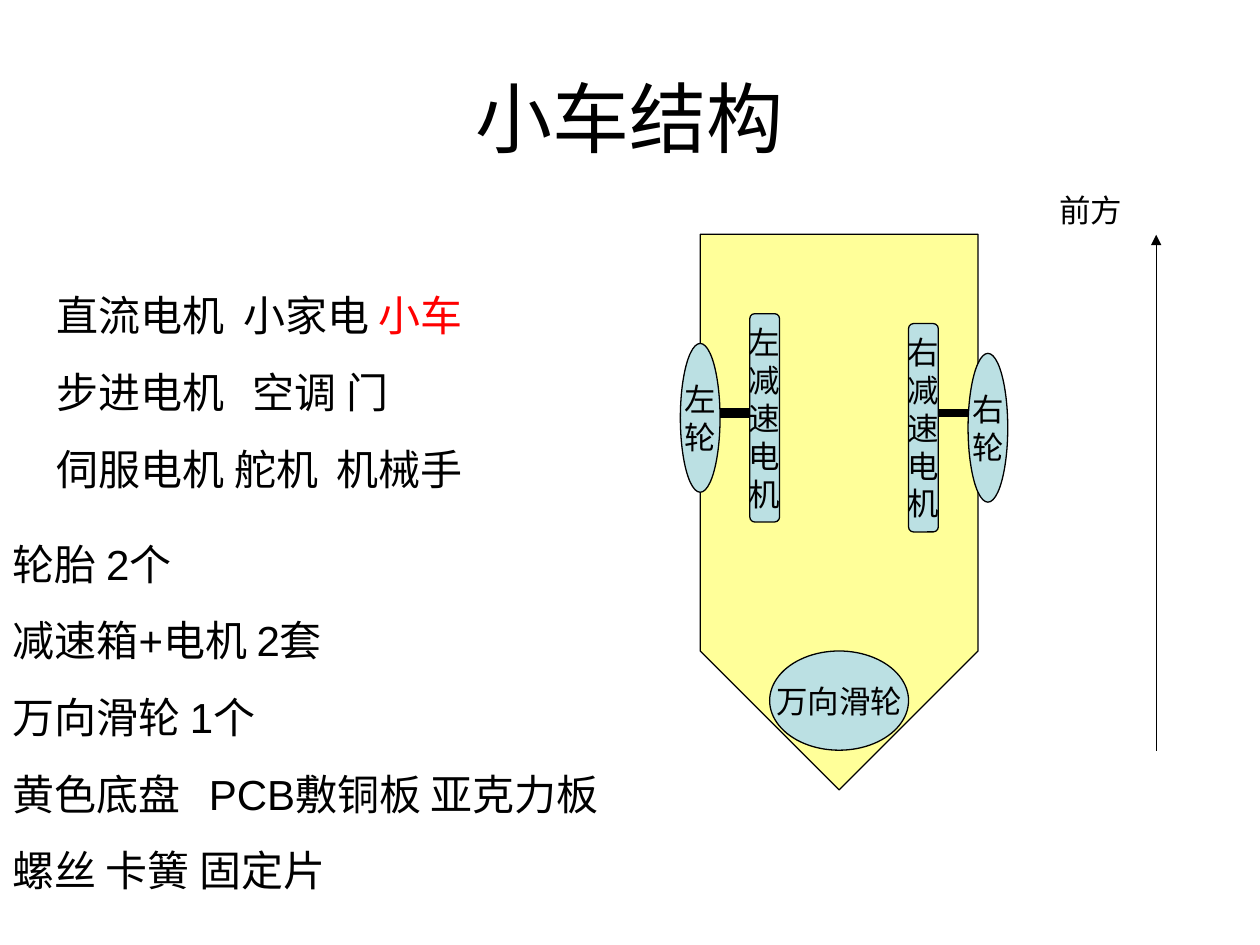
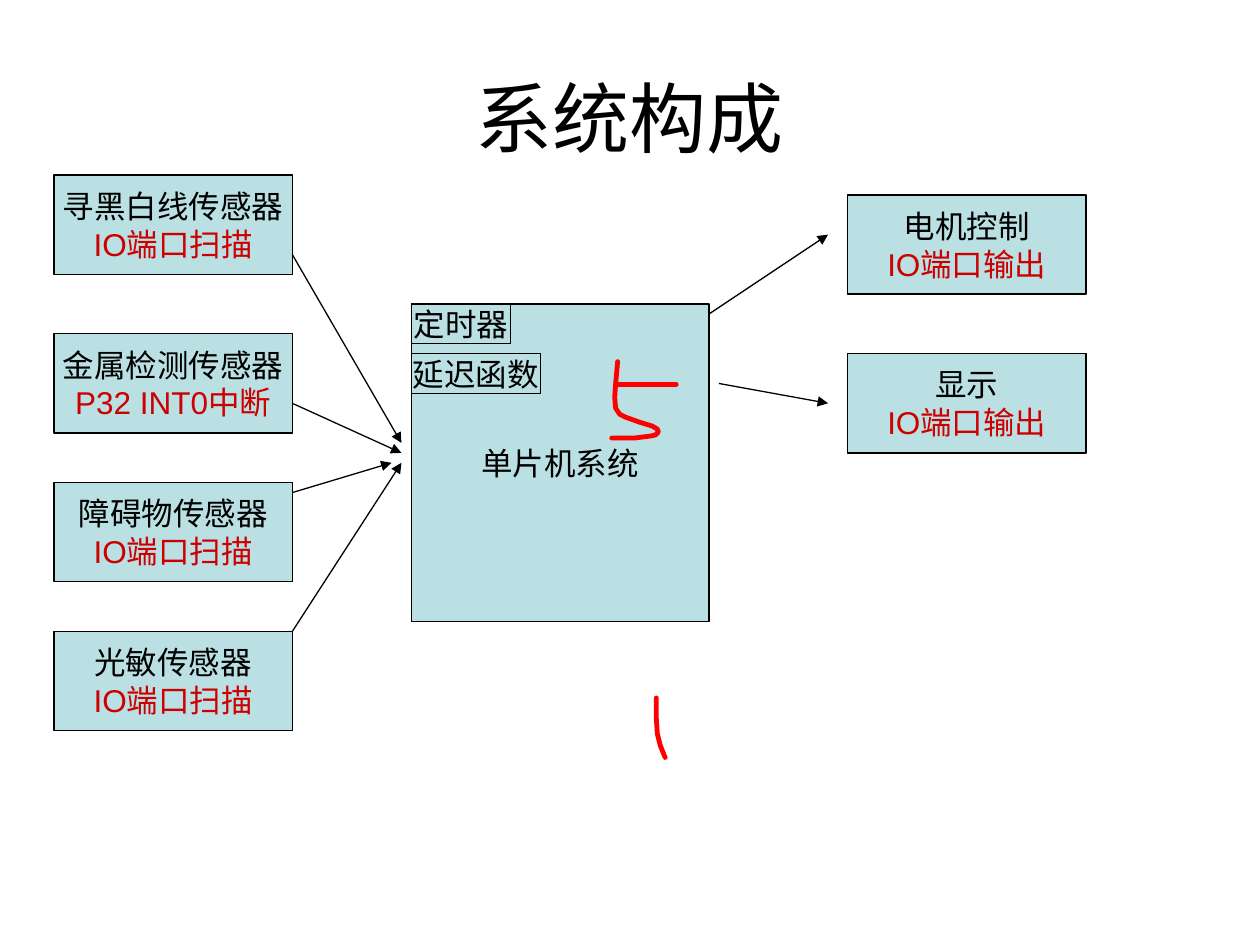
from dataclasses import dataclass

from lxml.etree import SubElement
from pptx import Presentation
from pptx.dml.color import RGBColor
from pptx.enum.shapes import MSO_CONNECTOR, MSO_SHAPE as Shape
from pptx.enum.text import MSO_ANCHOR as Anchor, MSO_AUTO_SIZE as AutoSize, PP_ALIGN as Align
from pptx.oxml.ns import qn
from pptx.util import Cm, Inches, Pt


@dataclass(frozen=True)
class Theme:
    font: str = "Arial"
    ink: str = "000000"
    device: str = "BBE0E3"
    chassis: str = "FFFF99"
    port: str = "CC0000"
    mark: str = "FF0000"
    title_size: float = 44
    list_size: float = 24
    label_size: float = 18
    outline: float = 0.75
    pen: float = 2.75


@dataclass(frozen=True)
class Grid:
    """Square cells counted from the top left corner of a region."""
    left: int
    top: int
    cell: int = Cm(0.2)

    def point(self, col, row):
        return round(self.left + col * self.cell), round(self.top + row * self.cell)

    def box(self, col, row, cols, rows):
        return *self.point(col, row), cols * self.cell, rows * self.cell


THEME = Theme()
WIDTH, HEIGHT = Inches(10), Inches(7.5)
TITLE_ONLY, TWO_LISTS = 5, 3


def rgb(code):
    return RGBColor.from_string(code)


def set_font(font, size, color=THEME.ink):
    font.name, font.size = THEME.font, Pt(size)
    font.color.rgb = rgb(color)


def place(item, left, top, width, height):
    """Positions an item by shares of the slide's size."""
    item.left, item.top = round(left * WIDTH), round(top * HEIGHT)
    item.width, item.height = round(width * WIDTH), round(height * HEIGHT)


def paragraphs(frame, count):
    return [frame.paragraphs[0]] + [frame.add_paragraph() for _ in range(count - 1)]


def titled_page(deck, layout, title):
    page = deck.slides.add_slide(deck.slide_layouts[layout])
    place(page.shapes.title, 0.05, 0.04, 0.9, 1 / 6)
    frame = page.shapes.title.text_frame
    frame.text, frame.vertical_anchor = title, Anchor.MIDDLE
    para = frame.paragraphs[0]
    para.alignment = Align.CENTER
    set_font(para.font, THEME.title_size)
    return page


def fill_list(holder, box, lines):
    """Each line is a list of (text, colour) spans."""
    place(holder, *box)
    frame = holder.text_frame
    frame.auto_size, frame.vertical_anchor = AutoSize.NONE, Anchor.TOP
    for para, spans in zip(paragraphs(frame, len(lines)), lines):
        para.space_before = Pt(15)
        props = para._p.get_or_add_pPr()
        props.set("marL", "0")
        props.set("indent", "0")
        SubElement(props, qn("a:buNone"))
        set_font(para.font, THEME.list_size)
        for text, color in spans:
            span = para.add_run()
            span.text = text
            set_font(span.font, THEME.list_size, color)


def plain(*texts):
    return [[(text, THEME.ink)] for text in texts]


def paint(shape, fill):
    shape.shadow.inherit = False
    shape.fill.solid()
    shape.fill.fore_color.rgb = rgb(fill)
    shape.line.color.rgb = rgb(THEME.ink)
    shape.line.width = Pt(THEME.outline)


def add_device(page, kind, box, lines, colors=(THEME.ink, THEME.ink)):
    """A pale blue shape with centred lines; the last colour serves all further lines."""
    device = page.shapes.add_shape(kind, *box)
    paint(device, THEME.device)
    frame = device.text_frame
    frame.word_wrap, frame.vertical_anchor = False, Anchor.MIDDLE
    for index, para in enumerate(paragraphs(frame, len(lines))):
        para.text, para.alignment = lines[index], Align.CENTER
        set_font(para.font, THEME.label_size, colors[min(index, len(colors) - 1)])


def add_line(page, start, end, width=THEME.outline, arrow=False):
    line = page.shapes.add_connector(MSO_CONNECTOR.STRAIGHT, *start, *end)
    line.line.color.rgb, line.line.width = rgb(THEME.ink), Pt(width)
    props = line._element.spPr
    if arrow:
        SubElement(props.find(qn("a:ln")), qn("a:tailEnd"), type="triangle")
    SubElement(props, qn("a:effectLst"))


def add_outline(page, grid, strokes, close):
    """One freeform from one or more strokes of grid points."""
    outlines = [[grid.point(*point) for point in stroke] for stroke in strokes]
    builder = page.shapes.build_freeform(*outlines[0][0])
    builder.add_line_segments(outlines[0][1:], close=close)
    for outline in outlines[1:]:
        builder.move_to(*outline[0])
        builder.add_line_segments(outline[1:], close=close)
    return builder.convert_to_shape()


def add_pen_mark(page, grid, strokes):
    mark = add_outline(page, grid, strokes, close=False)
    mark.shadow.inherit = False
    mark.fill.background()
    mark.line.color.rgb, mark.line.width = rgb(THEME.mark), Pt(THEME.pen)
    stroke = mark._element.spPr.find(qn("a:ln"))
    stroke.set("cap", "rnd")
    SubElement(stroke, qn("a:round"))


def draw_car(page, grid):
    chassis = [(2, 0), (30, 0), (30, 42), (16, 56), (2, 42)]
    paint(add_outline(page, grid, [chassis], close=True), THEME.chassis)
    add_device(page, Shape.OVAL, grid.box(9, 42, 14, 10), ["万向滑轮"])
    sides = (("左", 0, 11, 7, 8, 4, 6), ("右", 29, 12, 23, 9, 26, 4.5))
    for side, wheel_col, wheel_row, motor_col, motor_row, axle_col, axle_width in sides:
        add_device(page, Shape.OVAL, grid.box(wheel_col, wheel_row, 4, 15), [side, "轮"])
        add_device(page, Shape.ROUNDED_RECTANGLE, grid.box(motor_col, motor_row, 3, 21),
                   list(side + "减速电机"))
        add_line(page, grid.point(axle_col, 18), grid.point(axle_col + 3, 18), axle_width)


def draw_heading(page, grid):
    """The arrow and label that show which way is forward."""
    add_line(page, grid.point(11, 57), grid.point(11, 5), arrow=True)
    label = page.shapes.add_textbox(*grid.box(0, 0, 9, 5))
    label.text_frame.word_wrap = True
    para = label.text_frame.paragraphs[0]
    para.text = "前方"
    set_font(para.font, THEME.label_size)


def draw_ports(page, grid, ports):
    """Boxes that pair a device with the way it is connected."""
    for row, device, access in ports:
        add_device(page, Shape.RECTANGLE, grid.box(0, row, 24, 10), [device, access],
                   (THEME.ink, THEME.port))


def draw_controller(page, grid):
    add_device(page, Shape.RECTANGLE, grid.box(0, 0, 30, 32), ["单片机系统"])
    for row, cols, name in ((0, 10, "定时器"), (5, 13, "延迟函数")):
        add_device(page, Shape.RECTANGLE, grid.box(0, row, cols, 4), [name])


def draw_pen_marks(page, grid):
    hook = [(0.6, 0), (0.4, 2.2), (0.3, 3.6), (0.4, 4.7), (0.8, 5.3), (1.4, 5.6),
            (2.8, 6.1), (4.1, 6.5), (4.6, 6.8), (4.7, 7.1), (4.4, 7.4), (3.9, 7.5),
            (2.3, 7.7), (0, 7.7)]
    bar = [(0.4, 2.3), (6.5, 2.3)]
    tail = [(4.5, 33.9), (4.5, 36), (4.6, 37.5), (4.9, 38.7), (5.3, 39.7), (5.4, 39.9)]
    add_pen_mark(page, grid, [hook, bar])
    add_pen_mark(page, grid, [tail])


def structure_page(deck):
    page = titled_page(deck, TWO_LISTS, "小车结构")
    motors, materials = list(page.placeholders)[1:]
    fill_list(motors, (0.035, 0.3, 0.354, 0.23),
              [[("直流电机  小家电 ", THEME.ink), ("小车", THEME.mark)],
               *plain("步进电机   空调 门", "伺服电机 舵机  机械手")])
    fill_list(materials, (0, 0.563, 0.5, 0.437),
              plain("轮胎 2个", "减速箱+电机 2套", "万向滑轮 1个",
                    "黄色底盘   PCB敷铜板 亚克力板", "螺丝 卡簧 固定片"))
    draw_car(page, Grid(Inches(5.4), Inches(1.86)))
    draw_heading(page, Grid(Inches(8.31), Inches(1.47)))


def system_page(deck):
    page = titled_page(deck, TITLE_ONLY, "系统构成")
    grid = Grid(Inches(0.43), Inches(1.39))
    draw_ports(page, grid, [(0, "寻黑白线传感器", "IO端口扫描"),
                            (16, "金属检测传感器", "P32 INT0中断"),
                            (31, "障碍物传感器", "IO端口扫描"),
                            (46, "光敏传感器", "IO端口扫描")])
    draw_controller(page, Grid(*grid.point(36, 13)))
    draw_ports(page, Grid(*grid.point(80, 2)), [(0, "电机控制", "IO端口输出"),
                                                (16, "显示", "IO端口输出")])
    draw_pen_marks(page, Grid(*grid.point(56.2, 18.8)))
    signals = (((24, 8), (35, 27)), ((24, 23), (35, 28)), ((24, 32), (34, 29)),
               ((24, 46), (35, 29)), ((66, 14), (78, 6)), ((67, 21), (78, 23)))
    for start, end in signals:
        add_line(page, grid.point(*start), grid.point(*end), arrow=True)


def main():
    deck = Presentation()
    deck.slide_width, deck.slide_height = WIDTH, HEIGHT
    structure_page(deck)
    system_page(deck)
    deck.save("out.pptx")


if __name__ == "__main__":
    main()
